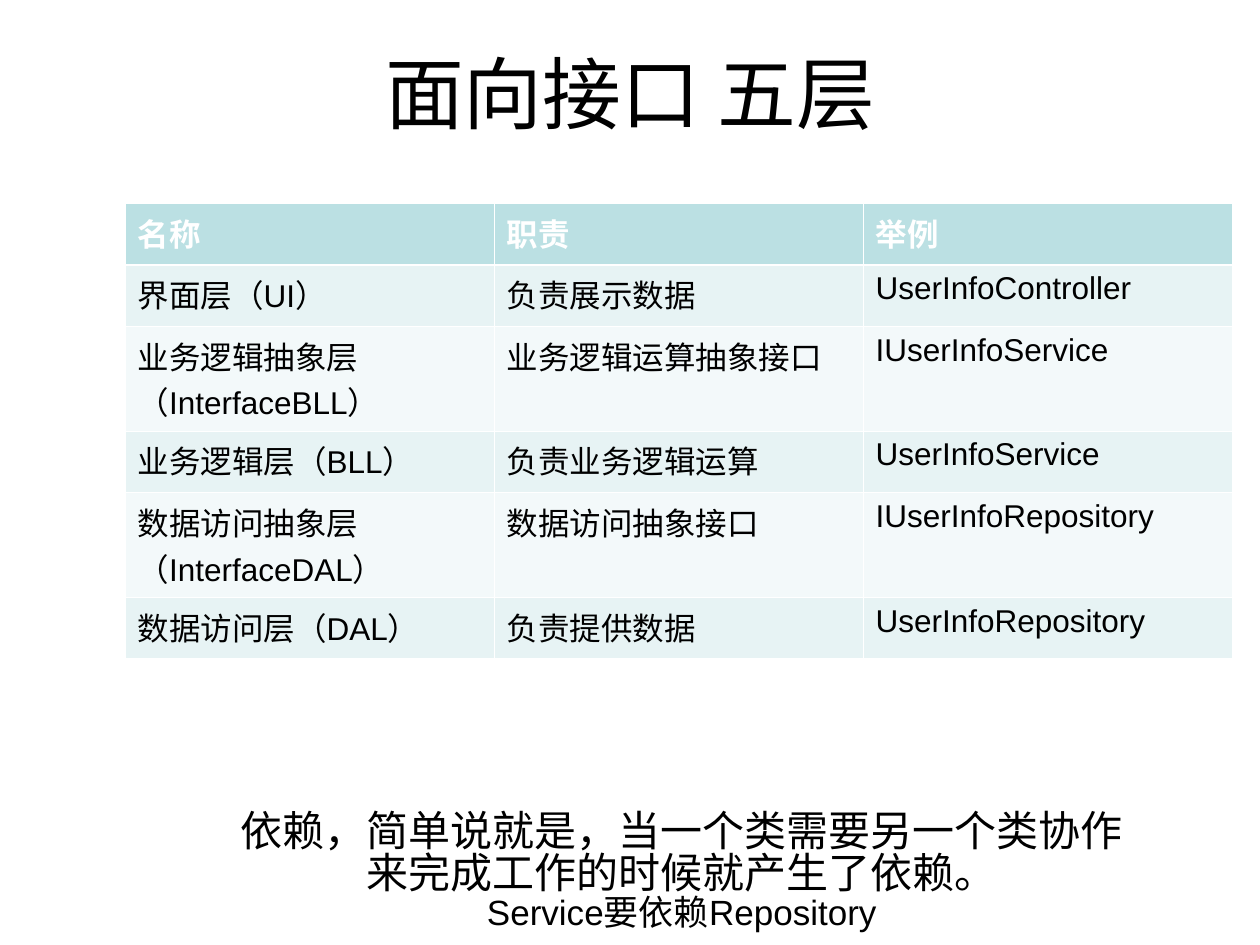
from lxml import etree
from pptx import Presentation
from pptx import util as u
from pptx.dml.color import RGBColor
from pptx.enum import text
from pptx.oxml import ns

COLORS = {"ink": "000000", "white": "FFFFFF", "header": "BBE0E3",
          "odd": "E7F3F4", "even": "F3F9FA"}
FONT = "Arial"
LAYERS = [
    ("名称", "职责", "举例"),
    ("界面层（UI）", "负责展示数据", "UserInfoController"),
    ("业务逻辑抽象层（InterfaceBLL）", "业务逻辑运算抽象接口", "IUserInfoService"),
    ("业务逻辑层（BLL）", "负责业务逻辑运算", "UserInfoService"),
    ("数据访问抽象层（InterfaceDAL）", "数据访问抽象接口", "IUserInfoRepository"),
    ("数据访问层（DAL）", "负责提供数据", "UserInfoRepository"),
]
NOTES = [
    ("依赖，简单说就是，当一个类需要另一个类协作来完成工作的时候就产生了依赖。", 24),
    ("Service要依赖Repository", 20),
]


def style_para(para, size, color, bold=False):
    """Format every run of a paragraph."""
    for span in para.runs:
        span.font.name = FONT
        span.font.size = u.Pt(size)
        span.font.bold = bold
        span.font.color.rgb = RGBColor.from_string(COLORS[color])


def add_centred_text(page, left, top, width, height, lines, bottom_margin):
    """Add centred lines of text resting on the bottom margin of a box."""
    box = page.shapes.add_textbox(u.Cm(left), u.Cm(top), u.Cm(width), u.Cm(height))
    frame = box.text_frame
    frame.word_wrap = True
    frame.vertical_anchor = text.MSO_ANCHOR.BOTTOM
    frame.margin_bottom = u.Cm(bottom_margin)
    frame.text = "\n".join(line for line, size in lines)
    for para, (line, size) in zip(frame.paragraphs, lines):
        para.alignment = text.PP_ALIGN.CENTER
        para.line_spacing = 0.84
        style_para(para, size, "ink")


def add_borders(cell, widths):
    """Draw white cell borders, given widths in points by side."""
    properties = cell._tc.get_or_add_tcPr()
    for side, width in widths.items():
        line = etree.SubElement(properties, ns.qn(f"a:ln{side}"), w=str(u.Pt(width)))
        fill = etree.SubElement(line, ns.qn("a:solidFill"))
        etree.SubElement(fill, ns.qn("a:srgbClr"), val=COLORS["white"])


def add_layer_table(page, left, top, width, rows):
    """Add the table of layers with a header and banded rows."""
    heights = [2.11 if "抽象层" in row[0] else 1.24 for row in rows]
    table = page.shapes.add_table(len(rows), len(rows[0]), u.Cm(left), u.Cm(top),
                                  u.Cm(width), u.Cm(sum(heights))).table
    table.first_row = table.horz_banding = False
    for column in table.columns:
        column.width = u.Cm(width / len(rows[0]))
    for r, (row, height) in enumerate(zip(rows, heights)):
        table.rows[r].height = u.Cm(height)
        band = "header" if r == 0 else "odd" if r % 2 else "even"
        borders = {"L": 0.45, "R": 0.45, "T": 1.47 if r == 1 else 0.45,
                   "B": 1.47 if r == 0 else 0.45}
        for c, label in enumerate(row):
            cell = table.cell(r, c)
            cell.text_frame.text = label
            style_para(cell.text_frame.paragraphs[0], 18,
                       "white" if r == 0 else "ink", bold=r == 0)
            add_borders(cell, borders)
            cell.fill.solid()
            cell.fill.fore_color.rgb = RGBColor.from_string(COLORS[band])


def main():
    """Build and save the slide."""
    deck = Presentation()
    deck.slide_width, deck.slide_height = u.Cm(25.4), u.Cm(19.05)
    page = deck.slides.add_slide(deck.slide_layouts[6])
    add_centred_text(page, 3.18, 0.6, 19.05, 4.02, [("面向接口 五层", 45)], 1.8)
    add_layer_table(page, 2.52, 4.1, 22.32, LAYERS)
    add_centred_text(page, 4.22, 13.06, 19.05, 6.63, NOTES, 0.89)
    deck.save("out.pptx")


if __name__ == "__main__":
    main()
